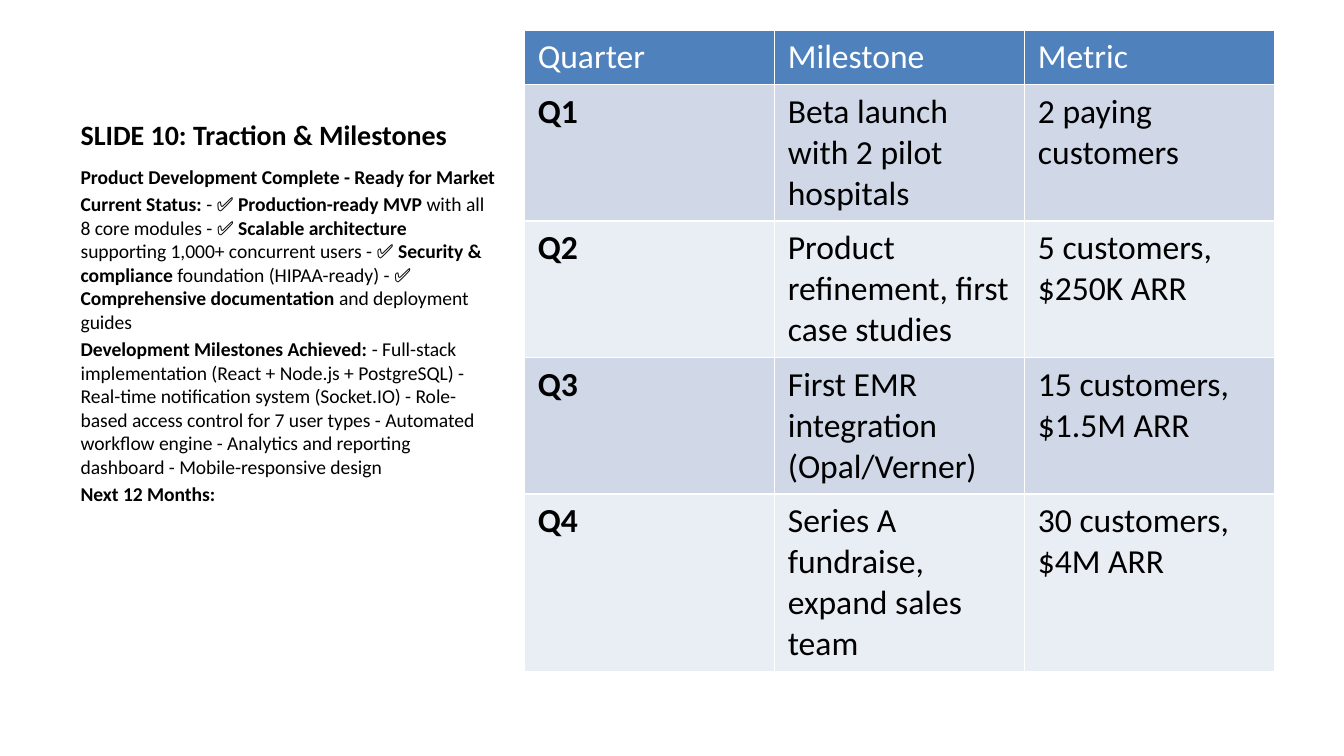
"""Builds a slide with milestone notes beside a table of quarterly goals."""
from pptx import Presentation
from pptx.dml.color import RGBColor as Rgb
from pptx.enum.text import MSO_ANCHOR as Anchor, MSO_AUTO_SIZE as Fit
from pptx.util import Cm, Pt

TITLE = "SLIDE 10: Traction & Milestones"
NOTES = [
    ["Product Development Complete - Ready for Market"],
    ["Current Status:", " - ✅ ",
     "Production-ready MVP", " with all 8 core modules - ✅ ",
     "Scalable architecture", " supporting 1,000+ concurrent users - ✅ ",
     "Security & compliance", " foundation (HIPAA-ready) - ✅ ",
     "Comprehensive documentation", " and deployment guides"],
    ["Development Milestones Achieved:",
     " - Full-stack implementation (React + Node.js + PostgreSQL)"
     " - Real-time notification system (Socket.IO)"
     " - Role-based access control for 7 user types"
     " - Automated workflow engine - Analytics and reporting dashboard"
     " - Mobile-responsive design"],
    ["Next 12 Months:"],
]
GOALS = [
    ["Quarter", "Milestone", "Metric"],
    ["Q1", "Beta launch with 2 pilot hospitals", "2 paying customers"],
    ["Q2", "Product refinement, first case studies", "5 customers, $250K ARR"],
    ["Q3", "First EMR integration (Opal/Verner)", "15 customers, $1.5M ARR"],
    ["Q4", "Series A fundraise, expand sales team", "30 customers, $4M ARR"],
]
HEIGHTS = [1.02, 2.58, 2.58, 2.58, 3.35]


def paint(code):
    return Rgb.from_string(code)


class Deck:
    face = "Calibri"
    ink, pale = "000000", "FFFFFF"
    head, bands = "4F81BD", ("E9EDF4", "D0D8E8")

    def __init__(self, wide, high):
        self.prs = Presentation()
        self.prs.slide_width, self.prs.slide_height = Cm(wide), Cm(high)
        layout = self.prs.slide_layouts.get_by_name("Content with Caption")
        self.slide = self.prs.slides.add_slide(layout)

    def style(self, font, size, color, bold=None):
        font.name, font.size, font.bold = self.face, Pt(size), bold
        font.color.rgb = paint(color)

    def place(self, holder, left, top, wide, high):
        holder.left, holder.top = Cm(left), Cm(top)
        holder.width, holder.height = Cm(wide), Cm(high)
        holder.text_frame.auto_size = Fit.NONE
        return holder.text_frame

    def title(self, text, *box):
        frame = self.place(self.slide.shapes.title, *box)
        frame.text = text
        frame.vertical_anchor = Anchor.BOTTOM
        self.style(frame.paragraphs[0].font, 15, self.ink, True)

    def body(self, notes, *box):
        spare, holder = list(self.slide.placeholders)[1:]
        spare.element.getparent().remove(spare.element)
        frame = self.place(holder, *box)
        for i, parts in enumerate(notes):
            para = frame.add_paragraph() if i else frame.paragraphs[0]
            self.style(para.font, 10.5, self.ink, True)
            for j, part in enumerate(parts):
                run = para.add_run()
                run.text = part
                if len(parts) > 1:
                    run.font.bold = j % 2 == 0
        frame.paragraphs[0].space_before = Pt(30)

    def table(self, rows, heights, left, top, wide):
        grid = self.slide.shapes.add_table(
            len(rows), len(rows[0]), Cm(left), Cm(top), Cm(wide),
            Cm(sum(heights))).table
        for i, (row, high) in enumerate(zip(rows, heights)):
            grid.rows[i].height = Cm(high)
            for j, text in enumerate(row):
                cell = grid.cell(i, j)
                cell.text = text
                cell.fill.solid()
                cell.fill.fore_color.rgb = paint(self.bands[i % 2] if i else self.head)
                self.style(cell.text_frame.paragraphs[0].font, 18,
                           self.ink if i else self.pale, i > 0 and j == 0)

    def save(self):
        self.prs.save("out.pptx")


def main():
    deck = Deck(25.4, 14.29)
    deck.title(TITLE, 1.27, 0.57, 8.36, 2.42)
    deck.body(NOTES, 1.27, 2.99, 8.36, 9.77)
    deck.table(GOALS, HEIGHTS, 9.91, 0.57, 14.18)
    deck.save()


if __name__ == "__main__":
    main()
